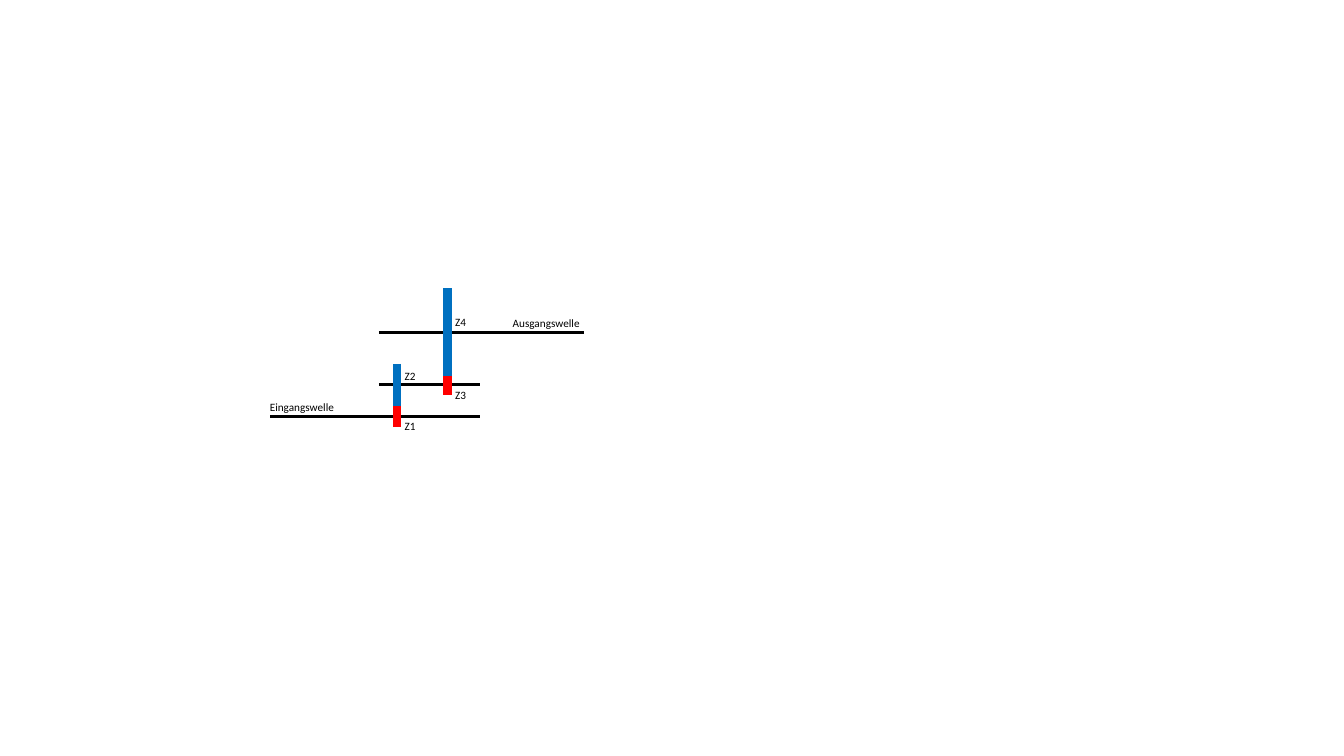
from pptx import Presentation
from pptx.dml.color import RGBColor
from pptx.enum.shapes import MSO_CONNECTOR
from pptx.enum.text import MSO_AUTO_SIZE
from pptx.oxml.ns import qn
from pptx.util import Cm, Pt
from lxml.etree import SubElement

BLACK, RED, BLUE = "000000", "FF0000", "0070C0"
LEFT_GEARS, RIGHT_GEARS = 10.01, 11.28
LABEL_HEIGHT = 0.6


def color(value):
    return RGBColor.from_string(value)


def add_line(group, start, end, stroke, width):
    line = group.shapes.add_connector(
        MSO_CONNECTOR.STRAIGHT, *(Cm(value) for value in (*start, *end)))
    line.line.color.rgb = color(stroke)
    line.line.width = Pt(width)
    SubElement(line._element.spPr, qn("a:effectLst"))


def add_shaft(group, left, right, height):
    add_line(group, (left, height), (right, height), BLACK, 2.25)


def add_gear(group, center, top, bottom, stroke):
    add_line(group, (center, top), (center, bottom), stroke, 6)


def add_label(group, text, left, top, width):
    box = group.shapes.add_textbox(Cm(left), Cm(top), Cm(width), Cm(LABEL_HEIGHT))
    frame = box.text_frame
    frame.word_wrap = False
    frame.auto_size = MSO_AUTO_SIZE.SHAPE_TO_FIT_TEXT
    span = frame.paragraphs[0].add_run()
    span.text = text
    span.font.size = Pt(8)
    span.font.name = "Calibri"
    span.font.color.rgb = color(BLACK)


def main():
    deck = Presentation()
    deck.slide_width, deck.slide_height = Cm(33.87), Cm(19.05)
    page = deck.slides.add_slide(deck.slide_layouts[6])
    gearbox = page.shapes.add_group_shape()

    add_shaft(gearbox, 6.81, 12.09, 10.49)
    add_gear(gearbox, LEFT_GEARS, 10.21, 10.77, RED)
    add_shaft(gearbox, 9.55, 12.09, 9.7)
    add_gear(gearbox, RIGHT_GEARS, 9.47, 9.96, RED)
    add_gear(gearbox, LEFT_GEARS, 9.17, 10.24, BLUE)
    add_shaft(gearbox, 9.55, 14.71, 8.38)
    add_gear(gearbox, RIGHT_GEARS, 7.26, 9.47, BLUE)

    add_label(gearbox, "Eingangswelle", 6.55, 9.96, 2.16)
    add_label(gearbox, "Ausgangswelle", 12.67, 7.85, 2.24)
    gear_labels = [
        ("Z1", LEFT_GEARS, 10.44),
        ("Z2", LEFT_GEARS, 9.17),
        ("Z3", RIGHT_GEARS, 9.65),
        ("Z4", RIGHT_GEARS, 7.82),
    ]
    for text, center, top in gear_labels:
        add_label(gearbox, text, center - 0.06, top, 0.79)

    deck.save("out.pptx")


main()
